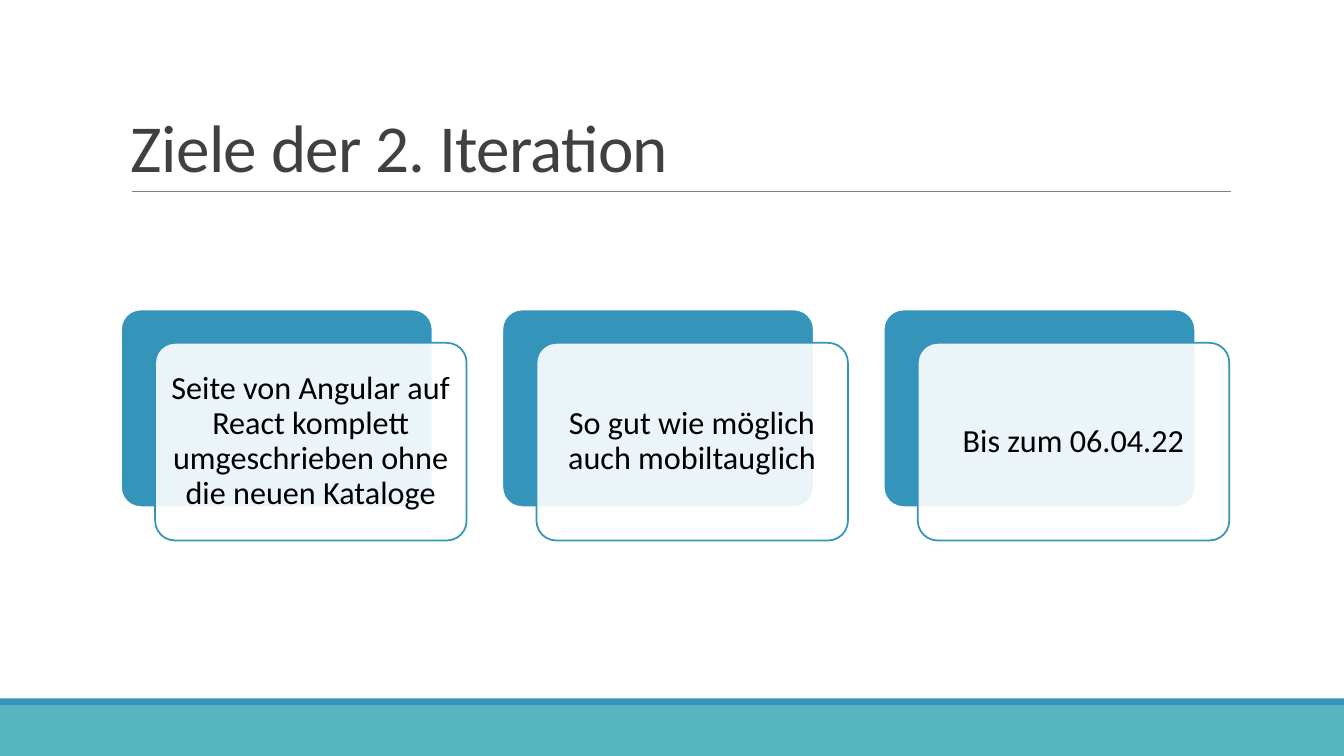
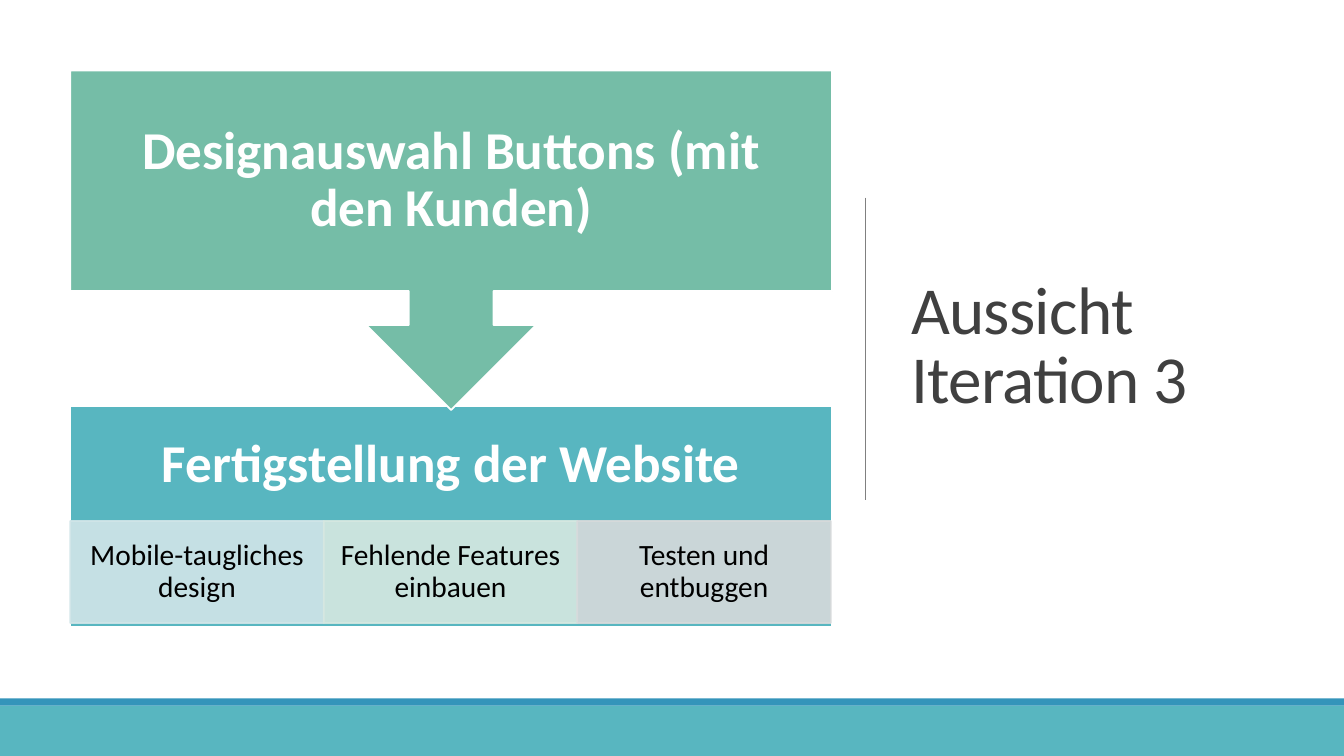
from dataclasses import dataclass
from typing import Any, Optional

from lxml.etree import SubElement
from pptx import Presentation
from pptx.dml.color import RGBColor
from pptx.enum.shapes import MSO_CONNECTOR, MSO_SHAPE
from pptx.enum.text import MSO_ANCHOR, MSO_AUTO_SIZE, PP_ALIGN
from pptx.oxml.ns import qn
from pptx.slide import Slide
from pptx.util import Cm, Pt

COLORS = {
    "blue": "3494BA",
    "teal": "58B6C0",
    "green": "75BDA7",
    "pale_teal": "D1E5E8",
    "pale_green": "D6E8E1",
    "pale_gray": "D7DADB",
    "rule": "808080",
    "title": "404040",
    "black": "000000",
    "white": "FFFFFF",
}
FONT = "Calibri"
SLIDE_WIDTH, SLIDE_HEIGHT = 33.87, 19.05
TITLE_ONLY = 5


@dataclass(frozen=True)
class Area:
    """Position and size in centimetres."""

    left: float
    top: float
    width: float
    height: float

    def moved(self, right: float, down: float = 0) -> "Area":
        """Return the same size at a shifted position."""
        return Area(self.left + right, self.top + down, self.width, self.height)

    def lengths(self) -> tuple:
        """Return the four values as slide lengths."""
        return Cm(self.left), Cm(self.top), Cm(self.width), Cm(self.height)


@dataclass(frozen=True)
class Wording:
    """Text with its size, colour and insets (left, top, right, bottom)."""

    text: str
    size: float
    color: str
    insets: tuple = (0.25, 0.13, 0.25, 0.13)
    bold: bool = False
    spacing: float = 0.9
    align: Any = PP_ALIGN.CENTER
    anchor: Any = MSO_ANCHOR.MIDDLE


@dataclass(frozen=True)
class Block:
    """A filled preset shape with optional outline and wording."""

    area: Area
    fill: str
    outline: Optional[str] = None
    wording: Optional[Wording] = None
    preset: Any = MSO_SHAPE.RECTANGLE
    corner: Optional[float] = None
    fill_alpha: int = 100
    outline_alpha: int = 100


BANDS = (
    Block(Area(0, 17.78, SLIDE_WIDTH, 1.27), "teal"),
    Block(Area(0, 17.6, SLIDE_WIDTH, 0.18), "blue"),
)

GOALS = (
    "Seite von Angular auf React komplett umgeschrieben ohne die neuen Kataloge",
    "So gut wie möglich auch mobiltauglich",
    "Bis zum 06.04.22",
)
GOAL_CARD = Area(3.05, 7.8, 7.85, 4.98)
GOAL_PITCH = 9.61
CARD_SHIFT = (0.86, 0.84)

TASKS = (
    ("Mobile-taugliches design", "pale_teal"),
    ("Fehlende Features einbauen", "pale_green"),
    ("Testen und entbuggen", "pale_gray"),
)
TASK_CELL = Area(1.77, 13.13, 6.39, 2.57)
STEP_INSET = 0.76


def rgb(name: str) -> RGBColor:
    """Look up a palette colour."""
    return RGBColor.from_string(COLORS[name])


def apply(target: Any, values: dict) -> None:
    """Set each named attribute on the target."""
    for attribute, value in values.items():
        setattr(target, attribute, value)


def paint(fill: Any, color: str, alpha: int = 100) -> None:
    """Fill with a solid colour of the given opacity."""
    fill.solid()
    fill.fore_color.rgb = rgb(color)
    if alpha < 100:
        solid = fill._xPr.find(qn("a:solidFill"))
        SubElement(solid[0], qn("a:alpha")).set("val", str(alpha * 1000))


def write(shape: Any, wording: Wording) -> Any:
    """Put formatted wording into a shape and return its run."""
    frame = shape.text_frame
    left, top, right, bottom = map(Cm, wording.insets)
    apply(frame, {
        "text": wording.text,
        "word_wrap": True,
        "auto_size": MSO_AUTO_SIZE.NONE,
        "vertical_anchor": wording.anchor,
        "margin_left": left,
        "margin_top": top,
        "margin_right": right,
        "margin_bottom": bottom,
    })
    paragraph = frame.paragraphs[0]
    apply(paragraph, {"alignment": wording.align, "line_spacing": wording.spacing})
    run = paragraph.runs[0]
    apply(run.font, {"name": FONT, "size": Pt(wording.size), "bold": wording.bold})
    run.font.color.rgb = rgb(wording.color)
    return run


def draw_block(slide: Slide, block: Block) -> None:
    """Draw one block on the slide."""
    shape = slide.shapes.add_shape(block.preset, *block.area.lengths())
    shape.shadow.inherit = False
    if block.corner is not None:
        shape.adjustments[0] = block.corner
    paint(shape.fill, block.fill, block.fill_alpha)
    if block.outline:
        shape.line.width = Pt(1.25)
        paint(shape.line.fill, block.outline, block.outline_alpha)
    else:
        shape.line.fill.background()
    if block.wording:
        write(shape, block.wording)


def draw_rule(slide: Slide, start: tuple, end: tuple) -> None:
    """Draw a thin grey rule between two points."""
    rule = slide.shapes.add_connector(
        MSO_CONNECTOR.STRAIGHT, *map(Cm, (*start, *end)))
    rule.line.width = Pt(0.5)
    paint(rule.line.fill, "rule")
    SubElement(rule._element.spPr, qn("a:effectLst"))


def add_titled_slide(deck: Any, title: str, area: Area, anchor: Any,
                     rule_start: tuple, rule_end: tuple) -> Slide:
    """Add a slide with title, rule and bottom bands."""
    slide = deck.slides.add_slide(deck.slide_layouts[TITLE_ONLY])
    heading = slide.shapes.title
    left, top, width, height = area.lengths()
    apply(heading, {"left": left, "top": top, "width": width, "height": height})
    run = write(heading, Wording(title, 48, "title", spacing=0.85,
                                 align=PP_ALIGN.LEFT, anchor=anchor))
    run._r.get_or_add_rPr().set("spc", "-50")
    draw_rule(slide, rule_start, rule_end)
    for band in BANDS:
        draw_block(slide, band)
    return slide


def build_goals(deck: Any) -> None:
    """Build the slide with the goals of the second iteration."""
    slide = add_titled_slide(
        deck, "Ziele der 2. Iteration", Area(3.05, 0.79, 27.94, 4.04),
        MSO_ANCHOR.BOTTOM, (3.33, 4.83), (31.01, 4.83))
    rounded = {"preset": MSO_SHAPE.ROUNDED_RECTANGLE, "corner": 0.1}
    for column, goal in enumerate(GOALS):
        backing = GOAL_CARD.moved(column * GOAL_PITCH)
        draw_block(slide, Block(backing, "blue", "white", **rounded))
        wording = Wording(goal, 23, "black", insets=(0.25,) * 4)
        draw_block(slide, Block(backing.moved(*CARD_SHIFT), "white", "blue",
                                wording, fill_alpha=90, **rounded))


def build_outlook(deck: Any) -> None:
    """Build the slide with the outlook on the third iteration."""
    slide = add_titled_slide(
        deck, "Aussicht Iteration 3", Area(22.71, 1.75, 9.37, 14.05),
        MSO_ANCHOR.MIDDLE, (21.82, 4.98), (21.82, 12.6))
    completion = Wording(
        "Fertigstellung der Website", 38, "white", bold=True,
        insets=(STEP_INSET,) * 3 + (STEP_INSET + TASK_CELL.height,))
    draw_block(slide, Block(Area(1.77, 10.24, 19.2, 5.56), "teal", "white",
                            completion))
    for column, (task, tint) in enumerate(TASKS):
        wording = Wording(task, 21, "black", insets=(0.41, 0.08, 0.41, 0.08))
        draw_block(slide, Block(TASK_CELL.moved(column * TASK_CELL.width), tint,
                                tint, wording, fill_alpha=90, outline_alpha=90))
    selection = Wording("Designauswahl Buttons (mit den Kunden)", 38, "white",
                        bold=True, insets=(STEP_INSET,) * 4)
    draw_block(slide, Block(Area(1.77, 1.78, 19.2, 8.55), "green", "white",
                            selection, preset=MSO_SHAPE.DOWN_ARROW_CALLOUT))


def main() -> None:
    """Build and save the presentation."""
    deck = Presentation()
    apply(deck, {"slide_width": Cm(SLIDE_WIDTH), "slide_height": Cm(SLIDE_HEIGHT)})
    build_goals(deck)
    build_outlook(deck)
    deck.save("out.pptx")


main()
